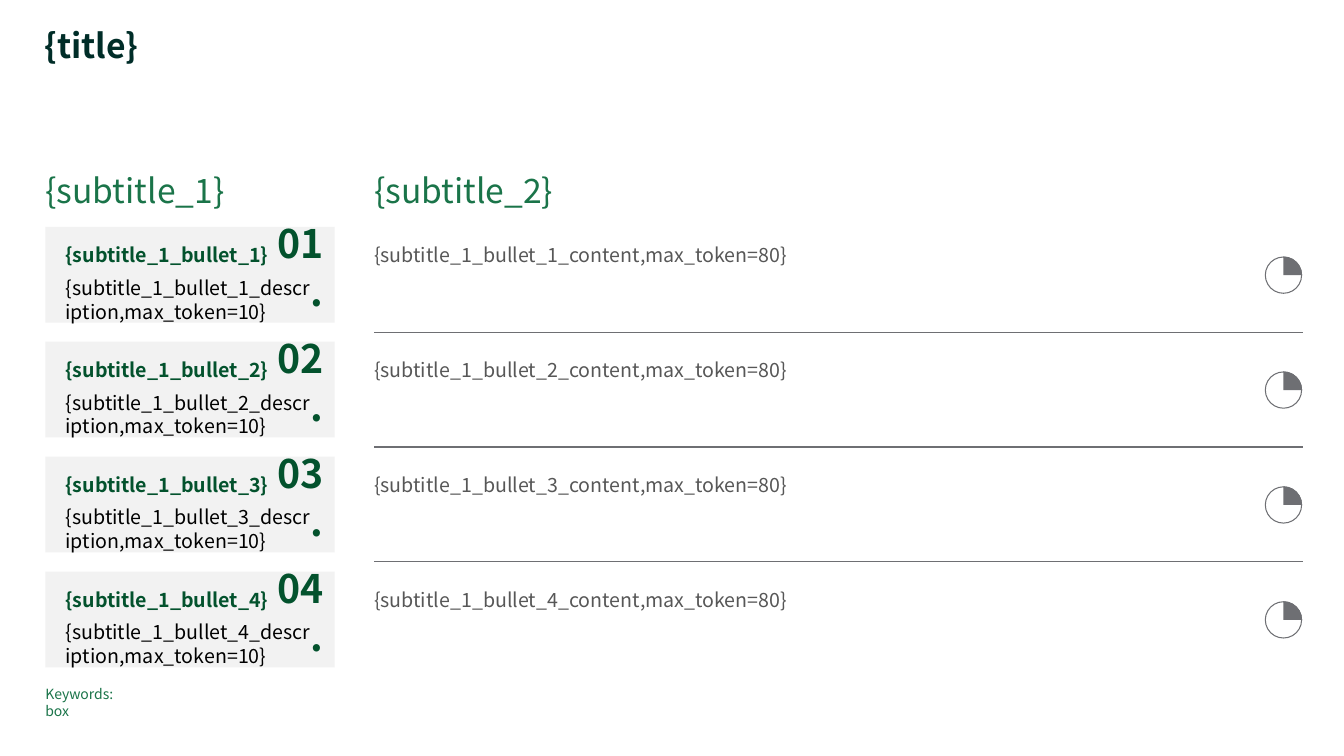
import pptx
import pptx.dml.color
import pptx.enum.shapes
import pptx.enum.text
import pptx.oxml
import pptx.util

Inches = pptx.util.Inches
SHAPES = pptx.enum.shapes.MSO_SHAPE
ANCHOR = pptx.enum.text.MSO_ANCHOR
ALIGN = pptx.enum.text.PP_ALIGN

FONT = "Noto Sans CJK JP"
LINE_HEIGHT = 1.22
GREEN, DARK_GREEN, GREY = "1A7449", "03522D", "6E6F73"
LEFT, LEFT_WIDTH = 0.45, 2.87
RIGHT, RIGHT_WIDTH = 3.71, 9.21
ROW_TOP, ROW_HEIGHT, ROW_PITCH, ROWS = 2.25, 0.95, 1.14, 4


def color(value):
    return pptx.dml.color.RGBColor.from_string(value)


def set_frame(frame, insets=(0, 0, 0, 0), anchor=ANCHOR.TOP):
    """Insets are left, top, right and bottom, in inches."""
    frame.word_wrap = True
    frame.auto_size = pptx.enum.text.MSO_AUTO_SIZE.NONE
    frame.vertical_anchor = anchor
    (frame.margin_left, frame.margin_top,
     frame.margin_right, frame.margin_bottom) = map(Inches, insets)


def write(para, text, size, fill, bold=False, align=ALIGN.LEFT, after=0, spacing=LINE_HEIGHT):
    para.alignment = align
    para.line_spacing = pptx.util.Pt(size * spacing)
    para.space_before = pptx.util.Pt(0)
    para.space_after = pptx.util.Pt(after)
    span = para.add_run()
    span.text = text
    span.font.name = FONT
    span.font.size = pptx.util.Pt(size)
    span.font.bold = bold
    span.font.color.rgb = color(fill)


def add_text(slide, box, text, size, fill, insets=(0, 0, 0, 0), anchor=ANCHOR.TOP, **style):
    frame = slide.shapes.add_textbox(*map(Inches, box)).text_frame
    set_frame(frame, insets, anchor)
    write(frame.paragraphs[0], text, size, fill, **style)


def add_shape(slide, kind, box, fill=None, line=None):
    shape = slide.shapes.add_shape(kind, *map(Inches, box))
    shape.shadow.inherit = False
    if fill:
        shape.fill.solid()
        shape.fill.fore_color.rgb = color(fill)
    else:
        shape.fill.background()
    if line:
        shape.line.color.rgb = color(line)
        shape.line.width = pptx.util.Pt(0.75)
    else:
        shape.line.fill.background()
    return shape


def add_title(slide, box):
    title = slide.shapes.title
    title.left, title.top, title.width, title.height = map(Inches, box)
    set_frame(title.text_frame)
    write(title.text_frame.paragraphs[0], "{title}", 24, "002D28", bold=True,
          spacing=0.9 * LINE_HEIGHT)


def add_card(slide, box, number):
    left, top, width, height = box
    frame = add_shape(slide, SHAPES.RECTANGLE, box, fill="F2F2F2").text_frame
    set_frame(frame, (0.2, 0.16, 0.2, 0.16))
    label = f"subtitle_1_bullet_{number}"
    write(frame.paragraphs[0], f"{{{label}}}", 14, DARK_GREEN, bold=True, after=6)
    write(frame.add_paragraph(), f"{{{label}_description,max_token=10}}", 14, "000000", after=6)
    number_box = (left + width - 0.66, top + height - 0.55, 0.67, 0.55)
    add_text(slide, number_box, f"{number:02d}.", 28, DARK_GREEN, (0, 0, 0.12, 0.08),
             ANCHOR.BOTTOM, bold=True, align=ALIGN.RIGHT)


def add_content(slide, box, number):
    left, top, width, height = box
    add_text(slide, (left, top, width - 0.57, height),
             f"{{subtitle_1_bullet_{number}_content,max_token=80}}", 14, "575757",
             (0, 0.16, 0, 0.16))
    size = 0.36
    dial = (left + width - size - 0.01, top + 0.3, size, size)
    add_shape(slide, SHAPES.OVAL, dial, line=GREY)
    add_shape(slide, SHAPES.ARC, dial, fill=GREY, line=GREY)


def add_divider(slide, left, top, width):
    divider = slide.shapes.add_connector(
        pptx.enum.shapes.MSO_CONNECTOR.STRAIGHT,
        Inches(left), Inches(top), Inches(left + width), Inches(top))
    divider.line.color.rgb = color(GREY)
    divider.line.width = pptx.util.Pt(0.75)
    properties = divider._element.spPr
    properties.append(pptx.oxml.parse_xml(
        '<a:effectLst xmlns:a="http://schemas.openxmlformats.org/drawingml/2006/main"/>'))


def main():
    deck = pptx.Presentation()
    deck.slide_width, deck.slide_height = Inches(13.33), Inches(7.5)
    slide = deck.slides.add_slide(deck.slide_layouts[5])
    add_title(slide, (0.44, 0.28, 11.03, 0.37))
    columns = ((LEFT, LEFT_WIDTH), (RIGHT, RIGHT_WIDTH))
    for number, (left, width) in enumerate(columns, 1):
        add_text(slide, (left, 1.69, width, 0.46), f"{{subtitle_{number}}}", 24, GREEN,
                 (0, 0, 0, 0.06), ANCHOR.BOTTOM)
    for row in range(ROWS):
        top = ROW_TOP + row * ROW_PITCH
        add_card(slide, (LEFT, top, LEFT_WIDTH, ROW_HEIGHT), row + 1)
        add_content(slide, (RIGHT, top, RIGHT_WIDTH, ROW_HEIGHT), row + 1)
        if row < ROWS - 1:
            add_divider(slide, RIGHT, top + (ROW_HEIGHT + ROW_PITCH) / 2, RIGHT_WIDTH)
    add_text(slide, (LEFT, 6.8, 0.92, 0.17), "Keywords: box", 10, GREEN)
    deck.save("out.pptx")


if __name__ == "__main__":
    main()
